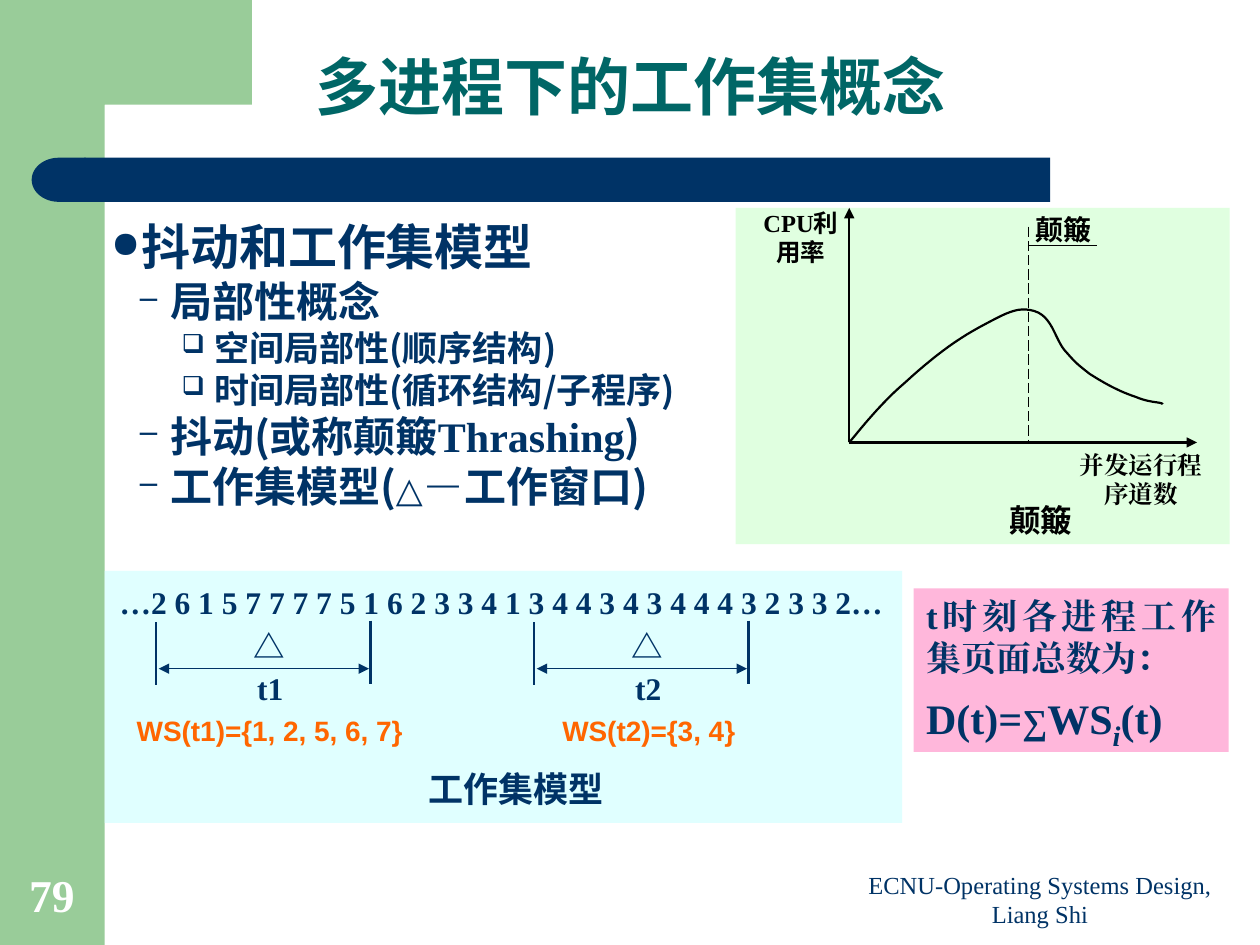
from lxml import etree
from pptx import Presentation
from pptx.dml.color import RGBColor
from pptx.enum.dml import MSO_LINE
from pptx.enum.shapes import MSO_CONNECTOR, MSO_SHAPE
from pptx.enum.text import MSO_ANCHOR, PP_ALIGN
from pptx.oxml.ns import qn
from pptx.util import Cm, Pt

STRAIGHT = MSO_CONNECTOR.STRAIGHT
DASH = MSO_LINE.LONG_DASH
RECT, DELAY = MSO_SHAPE.RECTANGLE, MSO_SHAPE.FLOWCHART_DELAY
TOP, BOTTOM = MSO_ANCHOR.TOP, MSO_ANCHOR.BOTTOM
LEFT, CENTER, JUSTIFY = PP_ALIGN.LEFT, PP_ALIGN.CENTER, PP_ALIGN.JUSTIFY
SANS, SERIF, HAN = "Arial", "Times New Roman", "Noto Sans CJK SC"
NAVY, GREEN, TEAL = "003366", "99CC99", "006666"
BLACK, WHITE, ORANGE = "000000", "FFFFFF", "FF6600"


def rgb(value):
    """Turn a hex string into a colour."""
    return RGBColor.from_string(value)


def child(parent, tag, **attrs):
    """Append a DrawingML element."""
    return etree.SubElement(parent, qn(tag), attrs)


def paint(sp, color, alpha=100):
    """Give a shape a plain fill without line or shadow."""
    sp.shadow.inherit = False
    sp.line.fill.background()
    sp.fill.solid()
    sp.fill.fore_color.rgb = rgb(color)
    if alpha < 100:
        fill = sp._element.spPr.find(qn("a:solidFill"))
        child(fill[0], "a:alpha", val=str(alpha * 1000))


def add_block(shapes, box, color, alpha=100, kind=RECT):
    """Add a filled preset shape."""
    sp = shapes.add_shape(kind, *map(Cm, box))
    paint(sp, color, alpha)
    return sp


def add_line(shapes, start, end, color, width, arrows=(), dash=None):
    """Add a straight line, with arrows at the named ends."""
    line = shapes.add_connector(STRAIGHT, *map(Cm, start + end))
    line.line.color.rgb = rgb(color)
    line.line.width = Pt(width)
    if dash:
        line.line.dash_style = dash
    for arrow in arrows:
        child(line.line._get_or_add_ln(), arrow, type="triangle")
    child(line._element.spPr, "a:effectLst")


def add_outline(shapes, points, close):
    """Add a freeform through points."""
    points = [(Cm(x), Cm(y)) for x, y in points]
    builder = shapes.build_freeform(*points[0])
    builder.add_line_segments(points[1:], close=close)
    sp = builder.convert_to_shape()
    sp.shadow.inherit = False
    return sp


def bezier(p0, p1, p2, p3, steps=12):
    """Sample a cubic curve, leaving out its start."""
    for i in range(1, steps + 1):
        t = i / steps
        u = 1 - t
        yield tuple(u**3 * a + 3 * u * u * t * b + 3 * u * t * t * c + t**3 * d
                    for a, b, c, d in zip(p0, p1, p2, p3))


def add_run(p, text, size, font, color, bold=True):
    """Add a formatted run."""
    r = p.add_run()
    r.text = text
    r.font.size = Pt(size)
    r.font.name = font
    r.font.bold = bold
    r.font.color.rgb = rgb(color)
    child(r._r.get_or_add_rPr(), "a:ea", typeface=font)
    return r


def add_text(shapes, box, runs, color, align=CENTER, anchor=TOP, bold=True):
    """Add a one-paragraph text box from (text, size, font) runs."""
    tf = shapes.add_textbox(*map(Cm, box)).text_frame
    tf.word_wrap = True
    tf.vertical_anchor = anchor
    p = tf.paragraphs[0]
    p.alignment = align
    for run in runs:
        add_run(p, *run, color, bold)


def add_frame(shapes):
    """Add the coloured bars around the slide."""
    add_block(shapes, (0, 0, 2.11, 19.05), GREEN)
    corner = [(5.08, 0), (5.08, 2.11), (2.11, 2.11), (1.85, 2.3),
              (1.7, 2.8), (1.7, 3.25), (1.27, 3.25), (1.27, 0)]
    paint(add_outline(shapes, corner, True), GREEN)
    add_block(shapes, (1.7, 3.18, 19.47, 0.89), NAVY)
    cap = add_block(shapes, (0.64, 3.18, 1.09, 0.89), NAVY, kind=DELAY)
    cap._element.spPr.xfrm.set("flipH", "1")


def add_title(s):
    """Fill the title placeholder."""
    title = s.shapes.title
    title.left, title.top, title.width, title.height = map(Cm, (0, 0.74, 25.4, 1.9))
    title.text_frame.vertical_anchor = BOTTOM
    p = title.text_frame.paragraphs[0]
    p.alignment = CENTER
    p.line_spacing = 0.9
    add_run(p, "多进程下的工作集概念", 36, HAN, TEAL)


def add_outline_text(shapes):
    """Add the bulleted outline."""
    levels = [("●", 0.61, -0.61), ("–", 1.19, -0.61), ("❑", 2.08, -0.66)]
    items = [
        (0, [("抖动和工作集模型", 28, HAN)]),
        (1, [("局部性概念", 24, HAN)]),
        (2, [("空间局部性(顺序结构)", 20, HAN)]),
        (2, [("时间局部性(循环结构/子程序)", 20, HAN)]),
        (1, [("抖动(或称颠簸", 24, HAN), ("Thrashing", 24, SERIF), (")", 24, HAN)]),
        (1, [("工作集模型(", 24, HAN), ("△", 20, SERIF), ("－", 24, SERIF),
             ("工作窗口)", 24, HAN)]),
    ]
    tf = shapes.add_textbox(*map(Cm, (1.73, 4.25, 14.35, 8.46))).text_frame
    tf.word_wrap = True
    tf.margin_left = tf.margin_right = Cm(0.51)
    for i, (level, runs) in enumerate(items):
        p = tf.add_paragraph() if i else tf.paragraphs[0]
        p.level = level
        char, margin, indent = levels[level]
        pPr = p._p.get_or_add_pPr()
        pPr.set("marL", str(Cm(margin)))
        pPr.set("indent", str(Cm(indent)))
        child(child(pPr, "a:buClr"), "a:srgbClr", val=NAVY)
        child(pPr, "a:buSzPct", val="75000")
        child(pPr, "a:buChar", char=char)
        p.alignment = JUSTIFY
        p.line_spacing = 1.0
        for run in runs:
            add_run(p, *run, NAVY)


def add_total(shapes):
    """Add the box with the total of working set pages."""
    tf = add_block(shapes, (18.42, 11.86, 6.35, 3.3), "FF99CC", 70).text_frame
    tf.word_wrap = True
    tf.vertical_anchor = TOP
    p = tf.paragraphs[0]
    p.alignment = JUSTIFY
    add_run(p, "t时刻各进程工作集页面总数为：", 20, SERIF, NAVY)
    p = tf.add_paragraph()
    p.alignment = JUSTIFY
    p.space_before = Pt(4)
    for text, size in [("D(t)=", 24), ("∑", 20), ("WS", 24), ("i", 28), ("(t)", 24)]:
        r = add_run(p, text, size, SERIF, NAVY)
        if text == "i":
            r.font.italic = True
            r._r.get_or_add_rPr().set("baseline", "-25000")


def add_thrashing(shapes):
    """Add the diagram of CPU use against running programs."""
    add_block(shapes, (14.83, 4.19, 9.96, 6.78), "CCFFCC", 60)
    origin = (17.12, 8.92)
    for end in [(24.13, 8.92), (17.12, 4.19)]:
        add_line(shapes, origin, end, BLACK, 1.25, ["a:tailEnd"])
    controls = [origin, (17.32, 8.69), (17.73, 8.15), (18.26, 7.7),
                (18.8, 7.21), (19.23, 6.88), (19.74, 6.6),
                (20.27, 6.32), (20.5, 6.17), (20.85, 6.27),
                (21.21, 6.38), (21.26, 6.81), (21.46, 7.06),
                (21.69, 7.32), (21.69, 7.32), (21.97, 7.54),
                (22.25, 7.72), (22.58, 7.9), (22.89, 8),
                (23.19, 8.13), (23.42, 8.1), (23.44, 8.15)]
    points = [origin]
    for i in range(0, len(controls) - 1, 3):
        points += bezier(*controls[i:i + 4])
    curve = add_outline(shapes, points, False)
    curve.fill.background()
    curve.line.color.rgb = rgb(BLACK)
    curve.line.width = Pt(1.25)
    add_line(shapes, (20.73, 4.57), (20.73, 8.92), BLACK, 0.75, dash=DASH)
    add_line(shapes, (20.73, 4.95), (22.12, 4.95), BLACK, 0.75)
    for box, runs in [
        ((20.52, 4.17, 1.85, 0.94), [("颠簸", 16, SANS)]),
        ((14.99, 4.06, 2.31, 1.45), [("CPU", 14, SERIF), ("利用率", 14, SANS)]),
        ((21.44, 8.94, 3.12, 1.45), [("并发运行程序道数", 14, SERIF)]),
        ((19.56, 9.98, 2.84, 1.02), [("颠簸", 18, SANS)]),
    ]:
        add_text(shapes, box, runs, BLACK)


def add_window(shapes, x, name, pages, pages_x):
    """Add one working window with its name and page set."""
    for side, top in [(x, 12.54), (x + 4.32, 12.51)]:
        add_line(shapes, (side, top), (side, top + 1.27), NAVY, 1.25)
    add_line(shapes, (x + 0.05, 13.48), (x + 4.29, 13.48), NAVY, 0.75,
             ["a:headEnd", "a:tailEnd"])
    add_text(shapes, (x + 1.65, 12.51, 1.27, 1.02), [("△", 18, HAN)], NAVY)
    add_text(shapes, (x + 1.73, 13.37, 1.14, 1.02), [(name, 18, SERIF)], NAVY)
    add_text(shapes, (pages_x, 14.26, 6.3, 0.94),
             [(f"WS({name})={{{pages}}}", 16, SANS)], ORANGE)


def add_working_set(shapes):
    """Add the diagram of the page sequence and its windows."""
    add_block(shapes, (2.11, 11.51, 16.08, 5.08), "CCFFFF", 60)
    sequence = "…2 6 1 5 7 7 7 7 5 1 6 2 3 3 4 1 3 4 4 3 4 3 4 4 4 3 2 3 3 2…"
    add_text(shapes, (1.22, 11.63, 17.78, 1.02), [(sequence, 18, SERIF)], NAVY)
    add_window(shapes, 3.15, "t1", "1, 2, 5, 6, 7", 2.29)
    add_window(shapes, 10.77, "t2", "3, 4", 9.93)
    add_text(shapes, (6.15, 15.34, 8.51, 1.12), [("工作集模型", 20, SANS)], NAVY)


def main():
    """Build the slide."""
    prs = Presentation()
    prs.slide_width, prs.slide_height = Cm(25.4), Cm(19.05)
    s = prs.slides.add_slide(prs.slide_layouts[5])
    add_frame(s.shapes)
    add_title(s)
    add_outline_text(s.shapes)
    add_total(s.shapes)
    add_thrashing(s.shapes.add_group_shape().shapes)
    add_working_set(s.shapes.add_group_shape().shapes)
    add_text(s.shapes, (16.94, 17.53, 8.05, 1.32),
             [("ECNU-Operating Systems Design, Liang Shi", 14, SERIF)],
             NAVY, anchor=BOTTOM, bold=False)
    add_text(s.shapes, (0.34, 17.35, 2.08, 1.35), [("79", 26, SERIF)],
             WHITE, LEFT, BOTTOM)
    prs.save("out.pptx")


if __name__ == "__main__":
    main()
